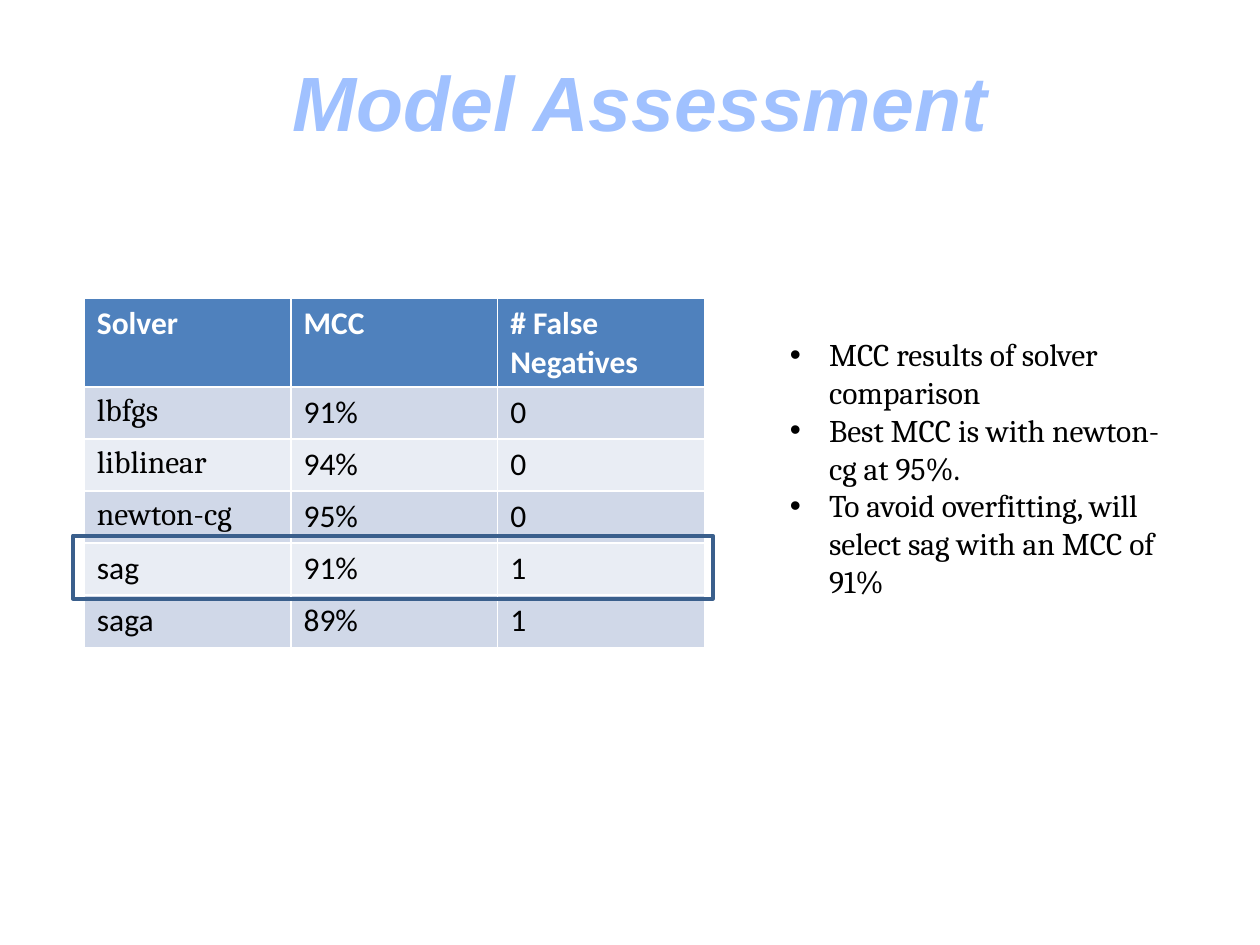
import pptx
import pptx.dml.color
import pptx.enum.shapes
import pptx.enum.text
import pptx.util

Cm = pptx.util.Cm
RGBColor = pptx.dml.color.RGBColor

WHITE = RGBColor(0xFF, 0xFF, 0xFF)
BLACK = RGBColor(0x00, 0x00, 0x00)
TITLE_BLUE = RGBColor(0xA0, 0xC1, 0xFF)
HEADER_BLUE = RGBColor(0x4F, 0x81, 0xBD)
BAND_DARK = RGBColor(0xD0, 0xD8, 0xE8)
BAND_LIGHT = RGBColor(0xE9, 0xED, 0xF4)
OUTLINE_BLUE = RGBColor(0x3A, 0x5F, 0x8C)

HEADERS = ["Solver", "MCC", "# False Negatives"]
RESULTS = [
    ["lbfgs", "91%", "0"],
    ["liblinear", "94%", "0"],
    ["newton-cg", "95%", "0"],
    ["sag", "91%", "1"],
    ["saga", "89%", "1"],
]
CAMBRIA_SOLVERS = {"lbfgs", "liblinear", "newton-cg"}
FINDINGS = [
    "MCC results of solver comparison",
    "Best MCC is with newton-cg at 95%.",
    "To avoid overfitting, will select sag with an MCC of 91%",
]


def write(p, text, font="Calibri", size=18, color=BLACK, bold=False, italic=False):
    r = p.add_run()
    r.text = text
    r.font.name = font
    r.font.size = pptx.util.Pt(size)
    r.font.color.rgb = color
    r.font.bold = bold
    r.font.italic = italic


class Deck:
    def __init__(self, s):
        self.s = s

    def place(self, sp, left, top, width, height):
        sp.left, sp.top, sp.width, sp.height = map(Cm, (left, top, width, height))

    def title(self, text, *box):
        sp = self.s.shapes.title
        self.place(sp, *box)
        tf = sp.text_frame
        tf.vertical_anchor = pptx.enum.text.MSO_ANCHOR.MIDDLE
        p = tf.paragraphs[0]
        p.alignment = pptx.enum.text.PP_ALIGN.CENTER
        write(p, text, font="Arial", size=44, color=TITLE_BLUE, bold=True, italic=True)

    def bullets(self, items, *box):
        sp = self.s.placeholders[1]
        self.place(sp, *box)
        tf = sp.text_frame
        tf.auto_size = pptx.enum.text.MSO_AUTO_SIZE.SHAPE_TO_FIT_TEXT
        for i, item in enumerate(items):
            p = tf.add_paragraph() if i else tf.paragraphs[0]
            p.space_before = pptx.util.Pt(0)
            pPr = p._p.get_or_add_pPr()
            pPr.set("marL", str(Cm(0.79)))
            pPr.set("indent", str(Cm(-0.79)))
            write(p, item, font="Cambria")

    def cell(self, cell, text, fill, **style):
        cell.fill.solid()
        cell.fill.fore_color.rgb = fill
        write(cell.text_frame.paragraphs[0], text, **style)

    def table(self, headers, rows, left, top, width, header_height, row_height):
        height = header_height + row_height * len(rows)
        table = self.s.shapes.add_table(
            len(rows) + 1, len(headers), Cm(left), Cm(top), Cm(width), Cm(height)
        ).table
        for i, row in enumerate(table.rows):
            row.height = Cm(row_height if i else header_height)
        for j, text in enumerate(headers):
            self.cell(table.cell(0, j), text, HEADER_BLUE, color=WHITE, bold=True)
        for i, row in enumerate(rows, 1):
            fill = BAND_DARK if i % 2 else BAND_LIGHT
            for j, text in enumerate(row):
                font = "Cambria" if text in CAMBRIA_SOLVERS else "Calibri"
                self.cell(table.cell(i, j), text, fill, font=font)

    def highlight(self, *box):
        kind = pptx.enum.shapes.MSO_SHAPE.RECTANGLE
        sp = self.s.shapes.add_shape(kind, *map(Cm, box))
        sp.shadow.inherit = False
        sp.fill.background()
        sp.line.color.rgb = OUTLINE_BLUE
        sp.line.width = pptx.util.Pt(2.25)


def main():
    prs = pptx.Presentation()
    prs.slide_width = Cm(25.4)
    prs.slide_height = Cm(19.05)
    deck = Deck(prs.slides.add_slide(prs.slide_layouts[1]))
    deck.title("Model Assessment", 2.11, 0.64, 21.59, 2.77)
    deck.bullets(FINDINGS, 15.67, 6.63, 8.05, 5.64)
    deck.table(HEADERS, RESULTS, 1.7, 6.02, 12.5, 1.77, 1.05)
    deck.highlight(1.47, 10.8, 12.9, 1.27)
    prs.save("out.pptx")


if __name__ == "__main__":
    main()
